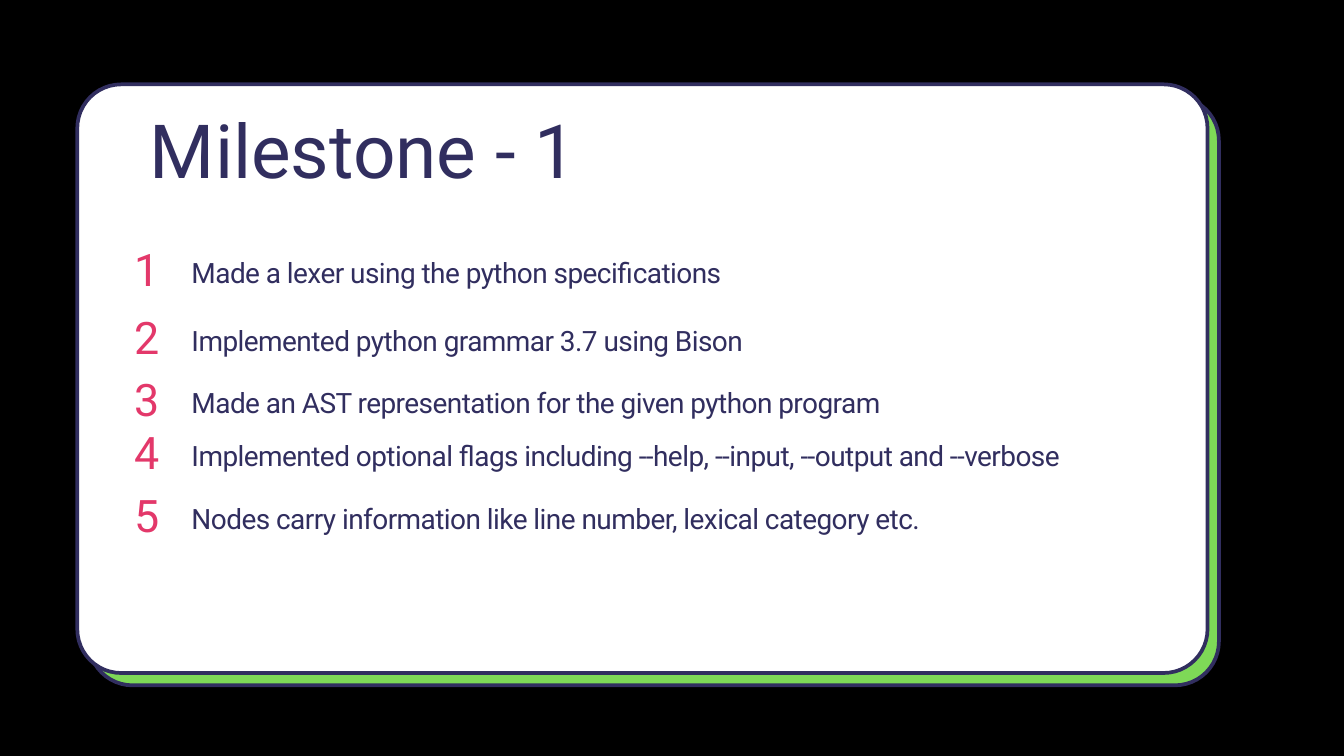
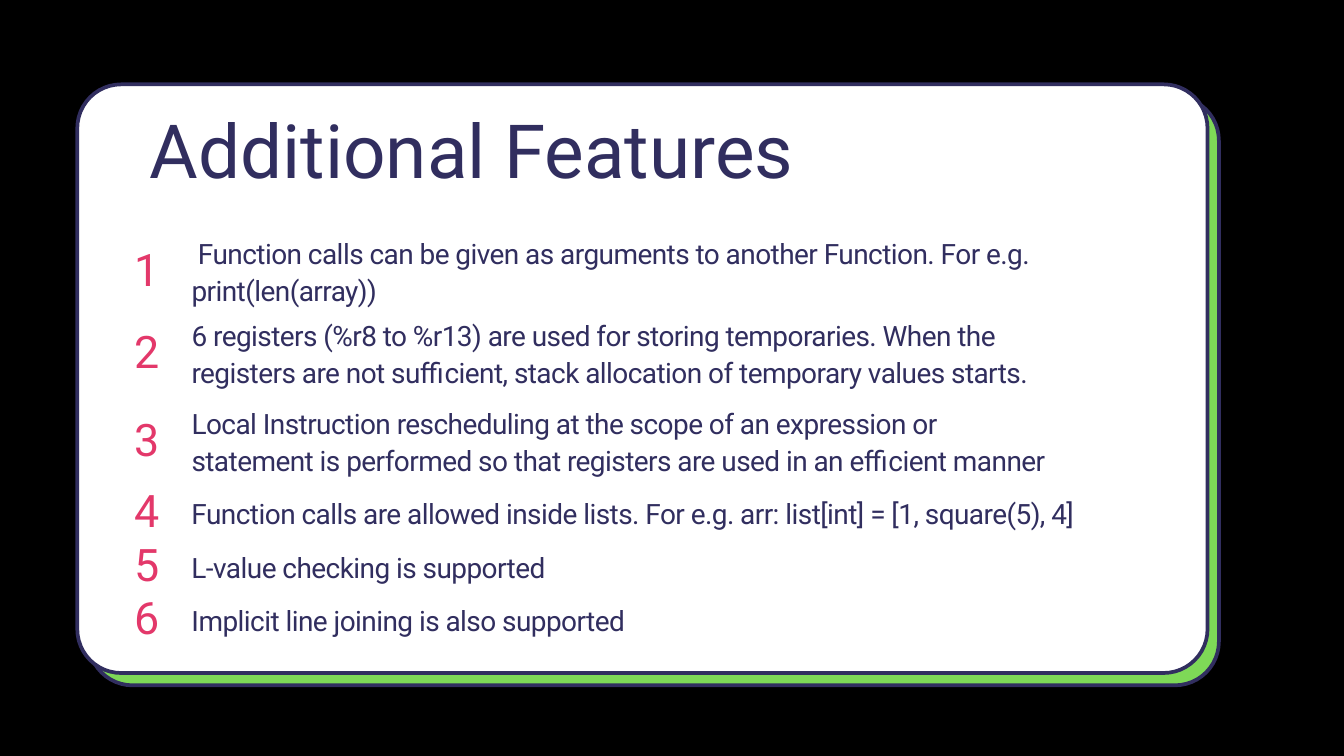
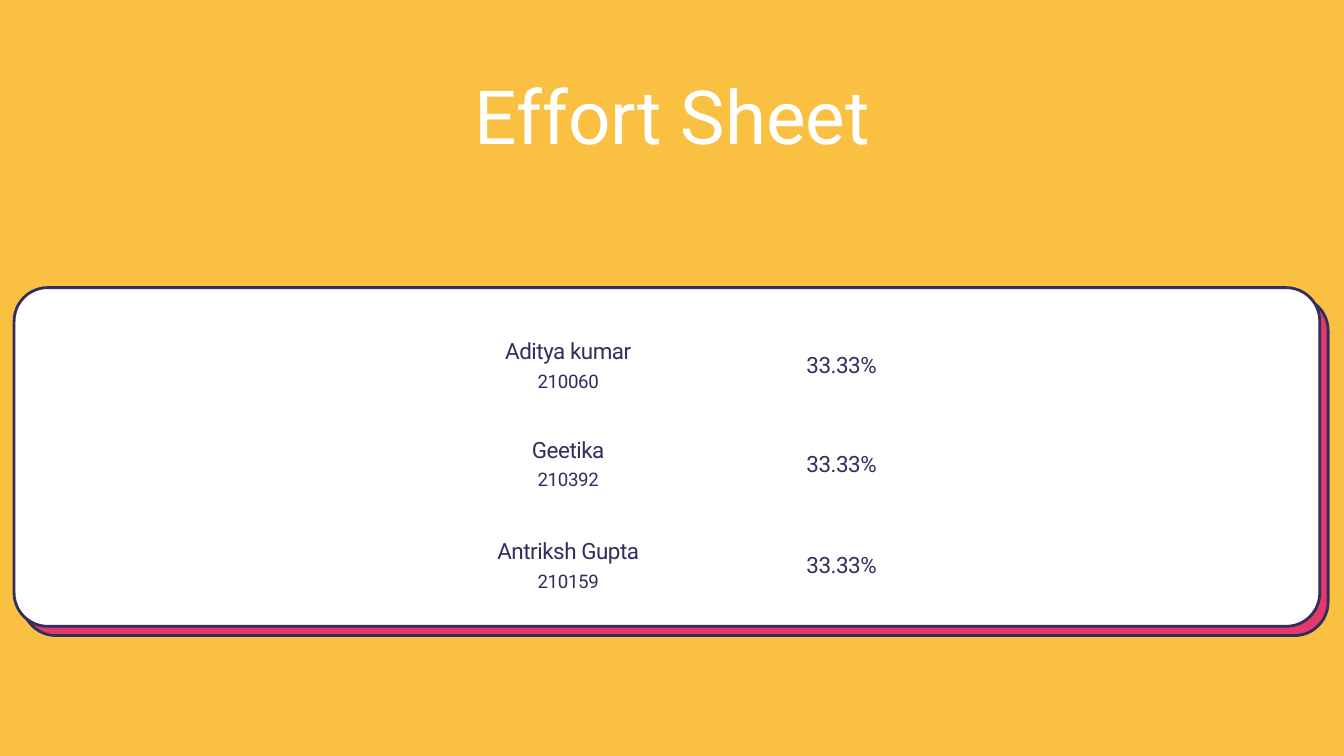
from dataclasses import dataclass

from pptx import Presentation
from pptx.dml.color import RGBColor
from pptx.enum.shapes import MSO_SHAPE
from pptx.enum.text import PP_ALIGN
from pptx.util import Pt


@dataclass(frozen=True)
class TextStyle:
    """Type size, line height and letter spacing in points, with a colour."""
    size: float
    leading: float
    color: str
    spacing: float = 0
    align: PP_ALIGN = PP_ALIGN.LEFT


@dataclass(frozen=True)
class Box:
    """A rectangle in points."""
    left: float
    top: float
    width: float
    height: float

    def inner(self, left, top, width, height):
        """Return a box placed relative to this one."""
        return Box(self.left + left, self.top + top, width, height)

    def lengths(self):
        """Return the four lengths as python-pptx values."""
        return [Pt(value) for value in (self.left, self.top, self.width, self.height)]


class Theme:
    """Colours, font and type styles of the deck."""
    BLACK, WHITE, NAVY = "000000", "FFFFFF", "312E5F"
    GREEN, PINK, YELLOW = "7ED957", "E3386A", "F9C041"
    FONT = "Roboto"
    TITLE = TextStyle(80, 71.2, NAVY)
    TITLE_ON_COLOR = TextStyle(80, 71.2, WHITE, align=PP_ALIGN.CENTER)
    BODY = TextStyle(30, 39.3, NAVY, -0.6)
    NUMBER = TextStyle(48, 42.7, PINK)
    NAME = TextStyle(24, 32.4, NAVY, -0.5, PP_ALIGN.CENTER)
    ROLL_NUMBER = TextStyle(20, 27, NAVY, -0.4, PP_ALIGN.CENTER)


LIST_CARD = Box(82.8, 90.4, 1211, 630.7)
EFFORT_CARD = Box(15.1, 308.2, 1399, 362.9)

MILESTONE_ROWS = [
    (180.3, 1, "Made a lexer using the python specifications"),
    (253, 1, "Implemented python grammar 3.7 using Bison"),
    (319.3, 1, "Made an AST representation for the given python program"),
    (376.2, 1, "Implemented optional flags including --help, --input, --output and --verbose"),
    (443.4, 1, "Nodes carry information like line number, lexical category etc."),
]
FEATURE_ROWS = [
    (160.2, 2, " Function calls can be given as arguments to another Function. "
               "For e.g. print(len(array))"),
    (248, 2, "6 registers (%r8 to %r13) are used for storing temporaries. When the "
             "registers are not sufficient, stack allocation of temporary values starts."),
    (342.3, 2, "Local Instruction rescheduling at the scope of an expression or "
               "statement is performed so that registers are used in an efficient manner"),
    (438.1, 1, "Function calls are allowed inside lists. "
               "For e.g. arr: list[int] = [1, square(5), 4]"),
    (496.4, 1, "L-value checking is supported"),
    (553.3, 1, "Implicit line joining is also supported"),
]
EFFORT_ROWS = [
    (49.6, "Aditya kumar", "210060", "33.33%"),
    (155, "Geetika", "210392", "33.33%"),
    (263.5, "Antriksh Gupta", "210159", "33.33%"),
]


def add_page(deck, background):
    """Add a blank page with a solid background."""
    page = deck.slides.add_slide(deck.slide_layouts[6])
    page.background.fill.solid()
    page.background.fill.fore_color.rgb = RGBColor.from_string(background)
    return page


def add_text(page, box, text, style):
    """Add one paragraph of text in a frame without margins."""
    frame = page.shapes.add_textbox(*box.lengths()).text_frame
    frame.word_wrap = True
    frame.margin_left = frame.margin_top = frame.margin_right = frame.margin_bottom = 0
    para = frame.paragraphs[0]
    para.text = text
    para.alignment = style.align
    para.line_spacing = Pt(style.leading)
    para.font.name = Theme.FONT
    para.font.size = Pt(style.size)
    para.font.color.rgb = RGBColor.from_string(style.color)
    if style.spacing:
        para.font._element.set("spc", str(round(style.spacing * 100)))


def add_card(page, box, back_color, radius, line_width):
    """Draw a white outlined card over a coloured one set down and right."""
    shift = line_width * 3.3
    back = box.inner(shift - 1, shift, box.width, box.height)
    for layer, color in ((back, back_color), (box, Theme.WHITE)):
        shape = page.shapes.add_shape(MSO_SHAPE.ROUNDED_RECTANGLE, *layer.lengths())
        shape.adjustments[0] = radius / box.height
        shape.shadow.inherit = False
        shape.fill.solid()
        shape.fill.fore_color.rgb = RGBColor.from_string(color)
        shape.line.color.rgb = RGBColor.from_string(Theme.NAVY)
        shape.line.width = Pt(line_width)


def add_numbered_row(page, card, number, top, lines, text):
    """Add a row's text and its number, centred on the text's height."""
    height = lines * Theme.BODY.leading
    width = 1000 if lines == 1 else 932
    add_text(page, card.inner(122.4, top, width, height), text, Theme.BODY)
    number_top = top + (height - Theme.BODY.leading) / 2 + 3.2
    add_text(page, card.inner(60.8, number_top, 50, 45), str(number), Theme.NUMBER)


def add_list_page(deck, title, rows):
    """Add a black page with a titled card of numbered rows."""
    page = add_page(deck, Theme.BLACK)
    card = LIST_CARD
    add_card(page, card, Theme.GREEN, radius=47, line_width=4)
    add_text(page, card.inner(77.8, 45.7, 1060, 76), title, Theme.TITLE)
    for number, row in enumerate(rows, start=1):
        add_numbered_row(page, card, number, *row)


def add_effort_row(page, card, top, name, roll_number, share):
    """Add a member's name, roll number and share of the work."""
    add_text(page, card.inner(467.3, top, 252.7, 30), name, Theme.NAME)
    add_text(page, card.inner(467.3, top + 35.5, 252.7, 26), roll_number, Theme.ROLL_NUMBER)
    add_text(page, card.inner(760.3, top + 15.1, 252.7, 30), share, Theme.NAME)


def add_effort_page(deck, title, rows):
    """Add a yellow page with a centred title and a card of members."""
    page = add_page(deck, Theme.YELLOW)
    add_text(page, Box(121, 100, 1199, 76), title, Theme.TITLE_ON_COLOR)
    add_card(page, EFFORT_CARD, Theme.PINK, radius=36, line_width=3)
    for row in rows:
        add_effort_row(page, EFFORT_CARD, *row)


def main():
    """Build and save the deck."""
    deck = Presentation()
    deck.slide_width, deck.slide_height = Pt(1440), Pt(810)
    add_list_page(deck, "Milestone - 1", MILESTONE_ROWS)
    add_list_page(deck, "Additional Features", FEATURE_ROWS)
    add_effort_page(deck, "Effort Sheet", EFFORT_ROWS)
    deck.save("out.pptx")


if __name__ == "__main__":
    main()
